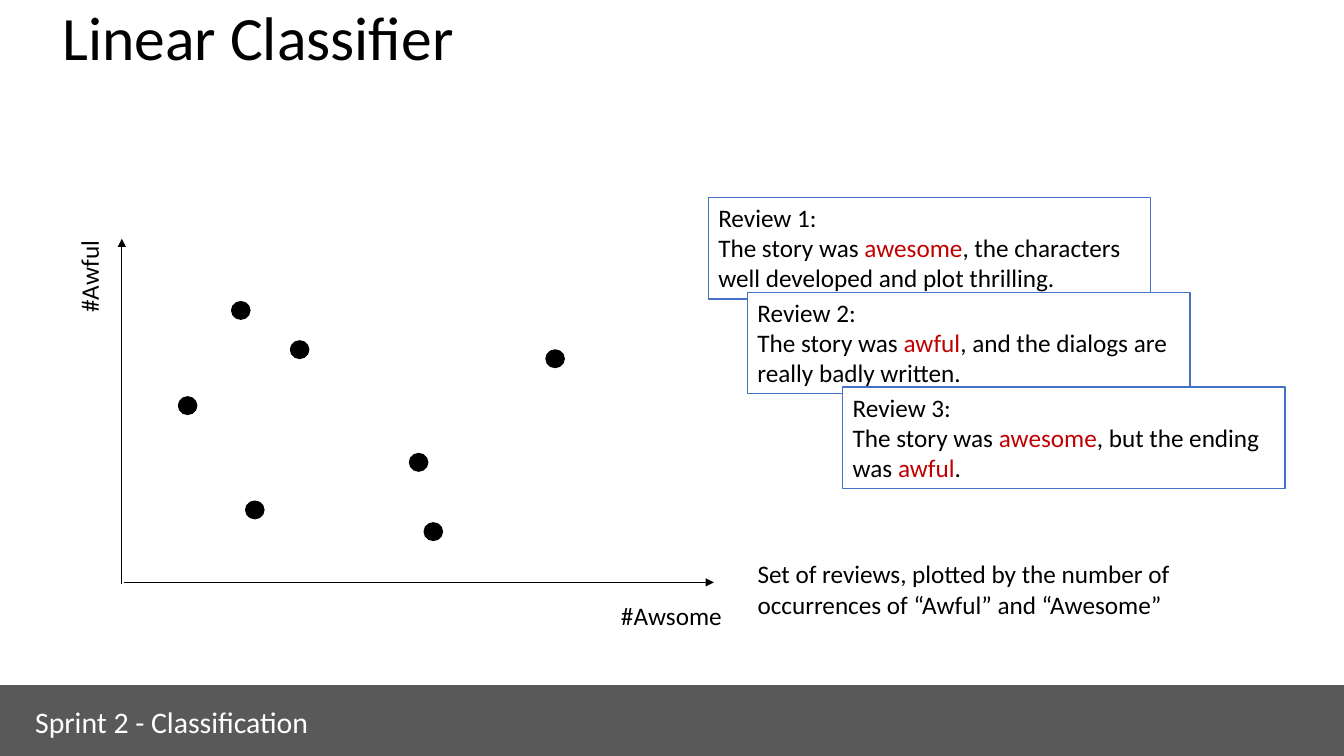
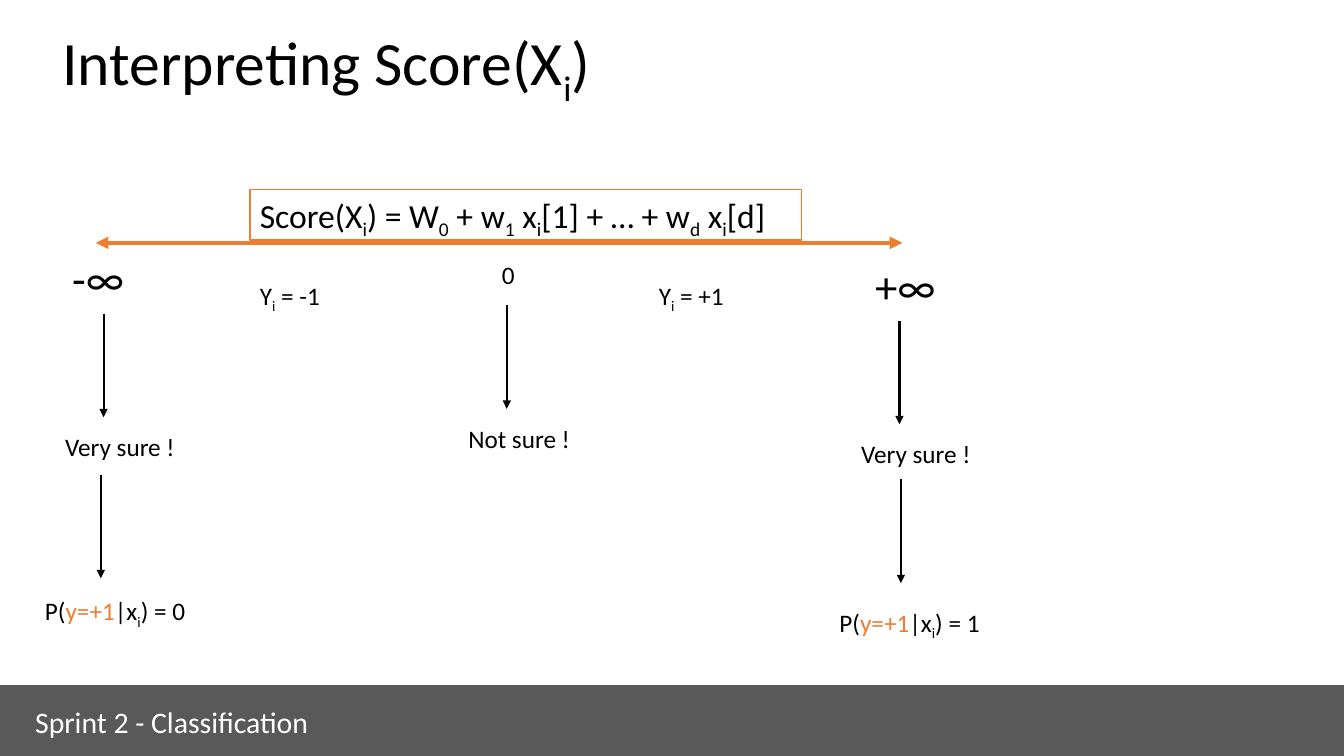
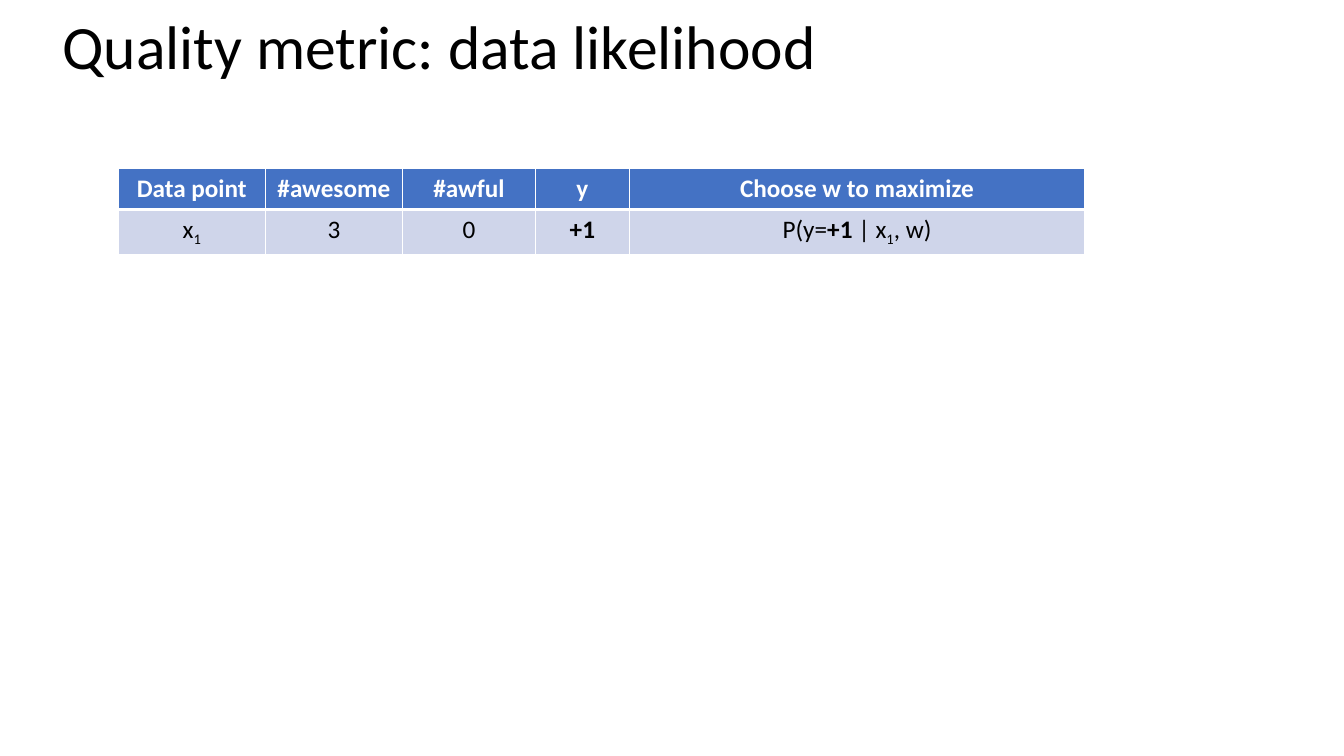
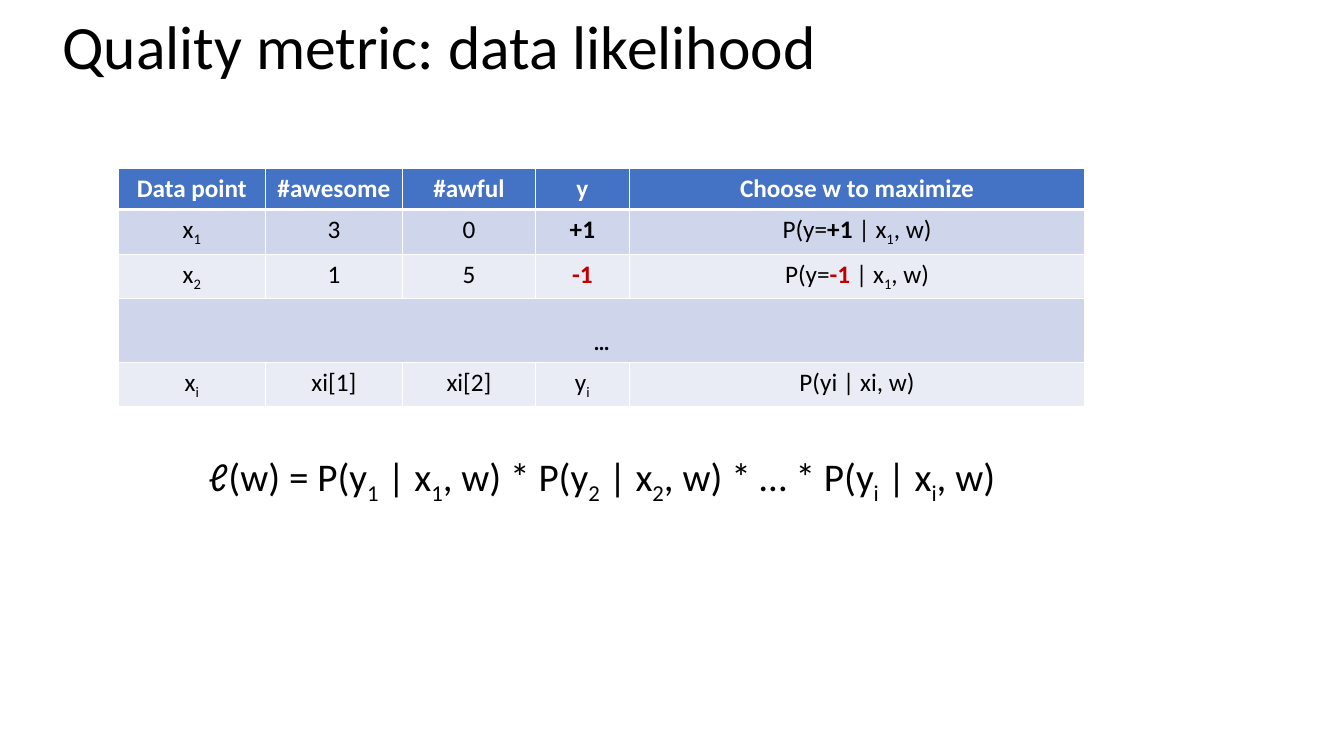
from dataclasses import dataclass

from lxml import etree
from pptx import Presentation, util as u
from pptx.dml.color import RGBColor
from pptx.enum import shapes, text
from pptx.oxml import ns

# Shared look
FONT = "Calibri"
BLACK, WHITE, GRAY = "000000", "FFFFFF", "595959"
BLUE, RED, ORANGE = "4472C4", "C00000", "ED7D31"
BANDS = ("CFD5EA", "E9EBF5")
WIDE, HIGH = 960, 540
LINE = 29  # height of a one-line label


@dataclass
class Run:
    text: str
    color: str = ""
    bold: bool = False
    italic: bool = False
    sub: bool = False
    size: float = 0


@dataclass
class Box:
    x: float
    y: float
    w: float
    h: float


@dataclass
class Arm:
    x: float
    y: float
    word: str


@dataclass
class Odds:
    x: float
    y: float
    left: float
    top: float
    value: str


Runs = list[Run]


def mix(line: str, **style) -> Runs:
    """Split at tildes; every second piece takes the style."""
    return [Run(part, **(style if i % 2 else {}))
            for i, part in enumerate(line.split("~")) if part]


def subs(line: str) -> Runs:
    return mix(line, sub=True)


def rgb(color: str) -> RGBColor:
    return RGBColor.from_string(color)


# Text
def write(para, runs: Runs, size: float, color: str = BLACK) -> None:
    for item in runs:
        run = para.add_run()
        run.text = item.text
        font = run.font
        font.name, font.size = FONT, u.Pt(item.size or size)
        font.bold, font.italic = item.bold, item.italic
        font.color.rgb = rgb(item.color or color)
        if item.sub:
            run._r.get_or_add_rPr().set("baseline", "-25000")


def put(shape, paras: list[Runs], size: float, color: str = BLACK) -> None:
    frame = shape.text_frame
    frame.word_wrap = True
    frame.vertical_anchor = text.MSO_ANCHOR.TOP
    for i, runs in enumerate(paras):
        para = frame.add_paragraph() if i else frame.paragraphs[0]
        para.alignment = text.PP_ALIGN.LEFT
        write(para, runs, size, color)


def label(slide, box: Box, runs: Runs, size: float = 18):
    shape = slide.shapes.add_textbox(*map(u.Pt, (box.x, box.y, box.w, box.h)))
    put(shape, [runs], size)
    return shape


# Shapes and lines
def draw(slide, box: Box, fill: str, edge: str, width: float = 1,
         oval: bool = False):
    kind = shapes.MSO_SHAPE.OVAL if oval else shapes.MSO_SHAPE.RECTANGLE
    shape = slide.shapes.add_shape(
        kind, *map(u.Pt, (box.x, box.y, box.w, box.h)))
    shape.shadow.inherit = False
    if fill:
        shape.fill.solid()
        shape.fill.fore_color.rgb = rgb(fill)
    else:
        shape.fill.background()
    shape.line.color.rgb = rgb(edge)
    shape.line.width = u.Pt(width)
    return shape


def arrow(slide, x: float, y: float, x2: float, y2: float,
          width: float = 1.5, color: str = BLACK, both: bool = False) -> None:
    line = slide.shapes.add_connector(
        shapes.MSO_CONNECTOR.STRAIGHT, *map(u.Pt, (x, y, x2, y2)))
    line.line.color.rgb = rgb(color)
    line.line.width = u.Pt(width)
    ln = line.line._get_or_add_ln()
    for end in ("a:headEnd", "a:tailEnd") if both else ("a:tailEnd",):
        etree.SubElement(ln, ns.qn(end), type="triangle")
    etree.SubElement(line._element.spPr, ns.qn("a:effectLst"))


# Page parts
def page(deck, title: Runs, top: float):
    slide = deck.slides.add_slide(deck.slide_layouts[6])
    shape = label(slide, Box(37.5, top, 864, 90), title, 44)
    shape.text_frame.paragraphs[0].line_spacing = 0.9
    return slide


def foot(slide) -> None:
    draw(slide, Box(-1, 489.5, WIDE + 1, 50.5), GRAY, GRAY)
    shape = draw(slide, Box(18, 499, 242, 33), "", GRAY, 0.75)
    put(shape, [[Run("Sprint 2 - Classification")]], 21.3, WHITE)


# Table
COLS = (105, 98, 95, 67, 325.5)
ROW = 29.25
HEAD = [[Run(name, bold=True)] for name in
        ("Data point", "#awesome", "#awful", "y", "Choose w to maximize")]


def point(sub: str, good: str, bad: str, y: str, color: str) -> list[Runs]:
    odds = mix(f"P(y=~{y} ~", bold=True, color=color) + subs("| x~1~, w)")
    return [subs(f"x~{sub}~"), [Run(good)], [Run(bad)],
            [Run(y, color, bold=True)], odds]


FIRST = point("1", "3", "0", "+1", BLACK)
SECOND = point("2", "1", "5", "-1", RED)
DOTS = [[Run("…", bold=True, sub=True, size=28)]]
LAST = [subs("x~i~"), [Run("xi[1]")], [Run("xi[2]")], subs("y~i~"),
        [Run("P(yi | xi, w)")]]


def edge(cell, side: str, width: float) -> None:
    ln = etree.SubElement(cell._tc.get_or_add_tcPr(), ns.qn(f"a:ln{side}"),
                          w=str(u.Pt(width)))
    fill = etree.SubElement(ln, ns.qn("a:solidFill"))
    etree.SubElement(fill, ns.qn("a:srgbClr"), val=WHITE)


def grid(slide, rows: list[list[Runs]]) -> None:
    table = slide.shapes.add_table(
        len(rows), len(COLS), u.Pt(84.5), u.Pt(120.5),
        u.Pt(sum(COLS)), u.Pt(ROW * len(rows))).table
    for col, width in zip(table.columns, COLS):
        col.width = u.Pt(width)
    for r, row in enumerate(rows):
        table.rows[r].height = u.Pt(ROW)
        for c in range(len(COLS)):
            cell = table.cell(r, c)
            for side in "LRTB":
                thick = (r, side) in ((0, "B"), (1, "T"))
                edge(cell, side, 3 if thick else 1)
            cell.fill.solid()
            cell.fill.fore_color.rgb = rgb(BANDS[(r - 1) % 2] if r else BLUE)
            if c < len(row):
                para = cell.text_frame.paragraphs[0]
                para.alignment = text.PP_ALIGN.CENTER
                write(para, row[c], 18, BLACK if r else WHITE)
        if len(row) == 1:
            table.cell(r, 0).merge(table.cell(r, len(COLS) - 1))


# Slides
def plot(deck) -> None:
    slide = page(deck, [Run("Linear Classifier")], 2)
    arrow(slide, 87, 417, 87, 170.5, 0.5)
    arrow(slide, 88.5, 416, 510, 416, 0.5)
    label(slide, Box(27.5, 180, 72, LINE), [Run("#Awful")]).rotation = 270
    label(slide, Box(436.5, 425, 88.5, LINE), [Run("#Awsome")])
    for x, y in ((127.5, 283.5), (207.5, 243.5), (165.5, 215.5), (292.5, 324),
                 (175.5, 358), (390, 250), (303, 373.5)):
        draw(slide, Box(x, y, 13, 12.5), BLACK, BLACK, oval=True)
    label(slide, Box(534, 395.5, 350, 51),
          [Run("Set of reviews, plotted by the number of occurrences of "
               "“Awful” and “Awesome”")])
    # Overlapping review cards
    cards = (
        (506, "~awesome~, the characters well developed and plot thrilling."),
        (534, "~awful~, and the dialogs are really badly written."),
        (602, "~awesome~, but the ending was ~awful~."),
    )
    for i, (x, view) in enumerate(cards):
        card = draw(slide, Box(x, 141 + 67.75 * i, 316, 72.5), WHITE, BLUE)
        put(card, [[Run(f"Review {i + 1}:")],
                   mix("The story was " + view, color=RED)], 18)
    foot(slide)


def score(deck) -> None:
    slide = page(deck, subs("Interpreting Score(X~i~)"), 14.5)
    # Scale and formula
    arrow(slide, 68.5, 173.5, 644.5, 173.5, 3, ORANGE, both=True)
    label(slide, Box(44.5, 175.5, 106.5, 46), [Run("-∞")], 32)
    label(slide, Box(618, 181.5, 106.5, 46), [Run("+∞")], 32)
    put(draw(slide, Box(178.5, 135.5, 394, 36), WHITE, ORANGE),
        [subs("Score(X~i~) = W~0~ + w~1~ x~i~[1] + … + w~d~ x~i~[d]")], 24)
    label(slide, Box(351.5, 182, 57.5, LINE), [Run("0")])
    for x, sign in ((178.5, "-"), (463.5, "+")):
        label(slide, Box(x, 196.5, 86.5, LINE), subs(f"Y~i~ = {sign}1"))
    # How sure, then how likely
    drop = 74
    for arm in (Arm(642.5, 229, "Very sure !"), Arm(74, 224, "Very sure !"),
                Arm(362, 218, "Not sure !")):
        arrow(slide, arm.x, arm.y, arm.x, arm.y + drop)
        label(slide, Box(arm.x - 34.5, arm.y + 80.5, 165.5, LINE),
              [Run(arm.word)])
    for odds in (Odds(72, 339, 25, 422, "0"),
                 Odds(643.5, 342.5, 592.5, 430, "1")):
        arrow(slide, odds.x, odds.y, odds.x, odds.y + drop)
        label(slide, Box(odds.left, odds.top, 131, LINE),
              mix("P(~y=+1~", color=ORANGE) + subs(f"|x~i~) = {odds.value}"))
    foot(slide)


def metric(deck, rows: list[list[Runs]]):
    slide = page(deck, [Run("Quality metric: data likelihood")], 8)
    grid(slide, [HEAD] + rows)
    return slide


def main() -> None:
    deck = Presentation()
    deck.slide_width, deck.slide_height = u.Pt(WIDE), u.Pt(HIGH)
    plot(deck)
    score(deck)
    metric(deck, [FIRST])
    full = metric(deck, [FIRST, SECOND, DOTS, LAST])
    label(full, Box(142, 319.5, 738, 41),
          [Run("ℓ", italic=True)] + subs(
              "(w) = P(y~1~ | x~1~, w) * P(y~2~ | x~2~, w) * … * "
              "P(y~i~ | x~i~, w)"), 28)
    deck.save("out.pptx")


if __name__ == "__main__":
    main()
